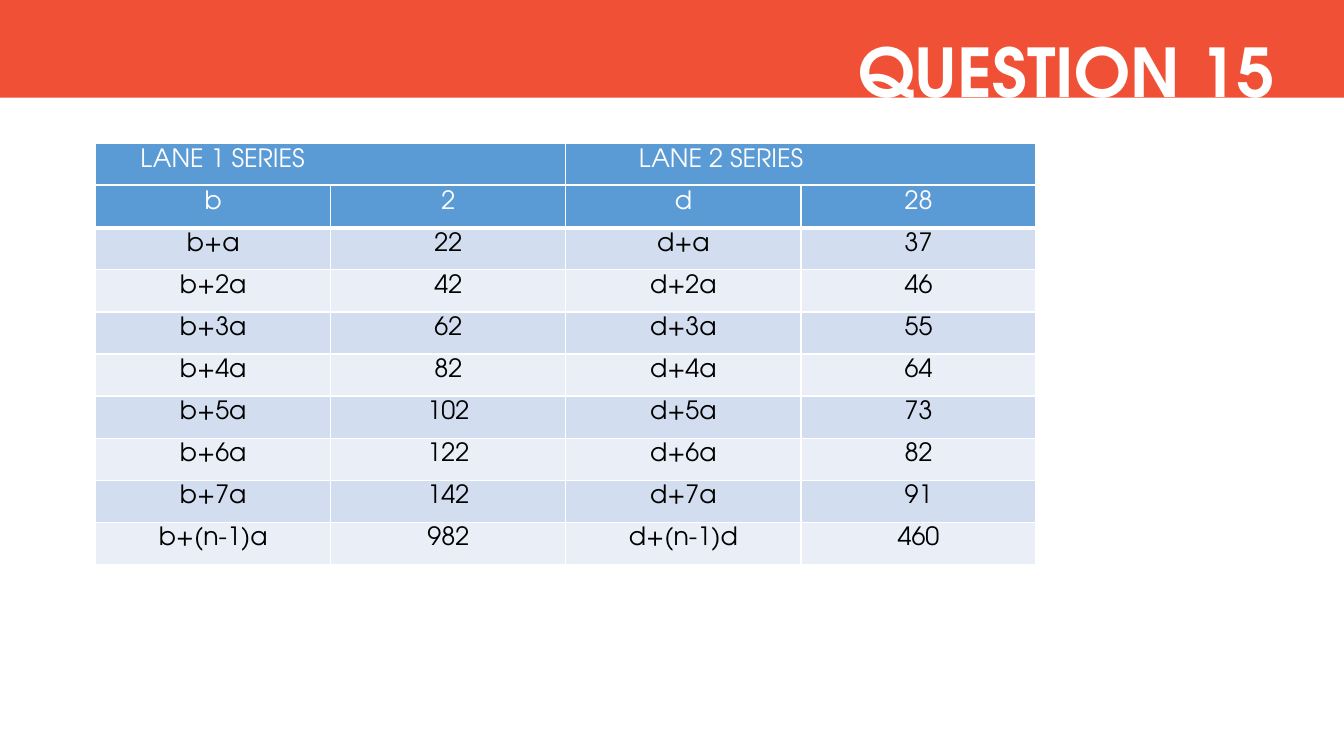
import pptx
import pptx.dml.color
import pptx.enum.shapes
import pptx.enum.text
import pptx.oxml
import pptx.oxml.ns
import pptx.util
from pptx.util import Cm

FONT = "TeX Gyre Adventor"
COLOURS = {
    "band": "F05136",
    "header": "5B9BD5",
    "odd_row": "D2DEEF",
    "even_row": "EAEFF7",
    "light": "FFFFFF",
    "dark": "000000",
}
ALIGN = pptx.enum.text.PP_ALIGN

SLIDE_WIDTH, SLIDE_HEIGHT = Cm(33.87), Cm(19.05)
TABLE_LEFT, TABLE_TOP, TABLE_WIDTH = Cm(2.41), Cm(3.62), Cm(23.7)
ROW_HEIGHT = Cm(1.06)

LANES = ["LANE 1 SERIES", "LANE 2 SERIES"]
LANE_INDENTS = [Cm(1.13), Cm(1.84)]
SERIES = [
    ["b", "2", "d", "28"],
    ["b+a", "22", "d+a", "37"],
    ["b+2a", "42", "d+2a", "46"],
    ["b+3a", "62", "d+3a", "55"],
    ["b+4a", "82", "d+4a", "64"],
    ["b+5a", "102", "d+5a", "73"],
    ["b+6a", "122", "d+6a", "82"],
    ["b+7a", "142", "d+7a", "91"],
    ["b+(n-1)a", "982", "d+(n-1)d", "460"],
]


def rgb(name):
    return pptx.dml.color.RGBColor.from_string(COLOURS[name])


def format_text(frame, size, colour, align, bold=False):
    paragraph = frame.paragraphs[0]
    paragraph.alignment = align
    for run in paragraph.runs:
        run.font.name = FONT
        run.font.size = pptx.util.Pt(size)
        run.font.bold = bold
        run.font.color.rgb = rgb(colour)


def add_band(slide):
    band = slide.shapes.add_shape(
        pptx.enum.shapes.MSO_SHAPE.RECTANGLE, 0, 0, SLIDE_WIDTH, Cm(2.46))
    band.shadow.inherit = False
    band.fill.solid()
    band.fill.fore_color.rgb = rgb("band")
    band.line.fill.background()
    # The title lies on top of the band
    slide.shapes.title.element.addprevious(band.element)


def set_title(slide, text):
    title = slide.shapes.title
    title.left, title.top = Cm(0.53), Cm(0.64)
    title.width, title.height = Cm(31.85), Cm(2.31)
    frame = title.text_frame
    frame.text = text
    frame.word_wrap = True
    frame.auto_size = pptx.enum.text.MSO_AUTO_SIZE.SHAPE_TO_FIT_TEXT
    frame.vertical_anchor = pptx.enum.text.MSO_ANCHOR.TOP
    format_text(frame, 48, "light", ALIGN.RIGHT, bold=True)


def set_borders(cell, bottom_points):
    properties = cell._tc.get_or_add_tcPr()
    for side, points in (("L", 1), ("R", 1), ("T", 1), ("B", bottom_points)):
        properties.append(pptx.oxml.parse_xml(
            f'<a:ln{side} {pptx.oxml.ns.nsdecls("a")} w="{pptx.util.Pt(points)}">'
            f'<a:solidFill><a:srgbClr val="{COLOURS["light"]}"/></a:solidFill>'
            f'</a:ln{side}>'))


def add_grid(slide, top, rows, align):
    """Add a table whose first row is a header above alternating rows."""
    columns = len(rows[0])
    grid = slide.shapes.add_table(
        len(rows), columns, TABLE_LEFT, top, TABLE_WIDTH,
        ROW_HEIGHT * len(rows)).table
    grid.first_row = grid.horz_banding = False
    for r, values in enumerate(rows):
        is_header = r == 0
        fill = "header" if is_header else "odd_row" if r % 2 else "even_row"
        for c, value in enumerate(values):
            cell = grid.cell(r, c)
            set_borders(cell, 3 if is_header else 1)
            cell.fill.solid()
            cell.fill.fore_color.rgb = rgb(fill)
            cell.text_frame.text = value
            format_text(cell.text_frame, 18,
                        "light" if is_header else "dark", align)
    return grid


def main():
    presentation = pptx.Presentation()
    presentation.slide_width = SLIDE_WIDTH
    presentation.slide_height = SLIDE_HEIGHT
    slide = presentation.slides.add_slide(presentation.slide_layouts[5])

    # Heading
    add_band(slide)
    set_title(slide, "QUESTION 15")

    # Lane names
    lanes = add_grid(slide, TABLE_TOP, [LANES], ALIGN.LEFT)
    for column, indent in enumerate(LANE_INDENTS):
        lanes.cell(0, column).margin_left = indent

    # Terms and values of both series
    add_grid(slide, TABLE_TOP + ROW_HEIGHT, SERIES, ALIGN.CENTER)

    presentation.save("out.pptx")


if __name__ == "__main__":
    main()
